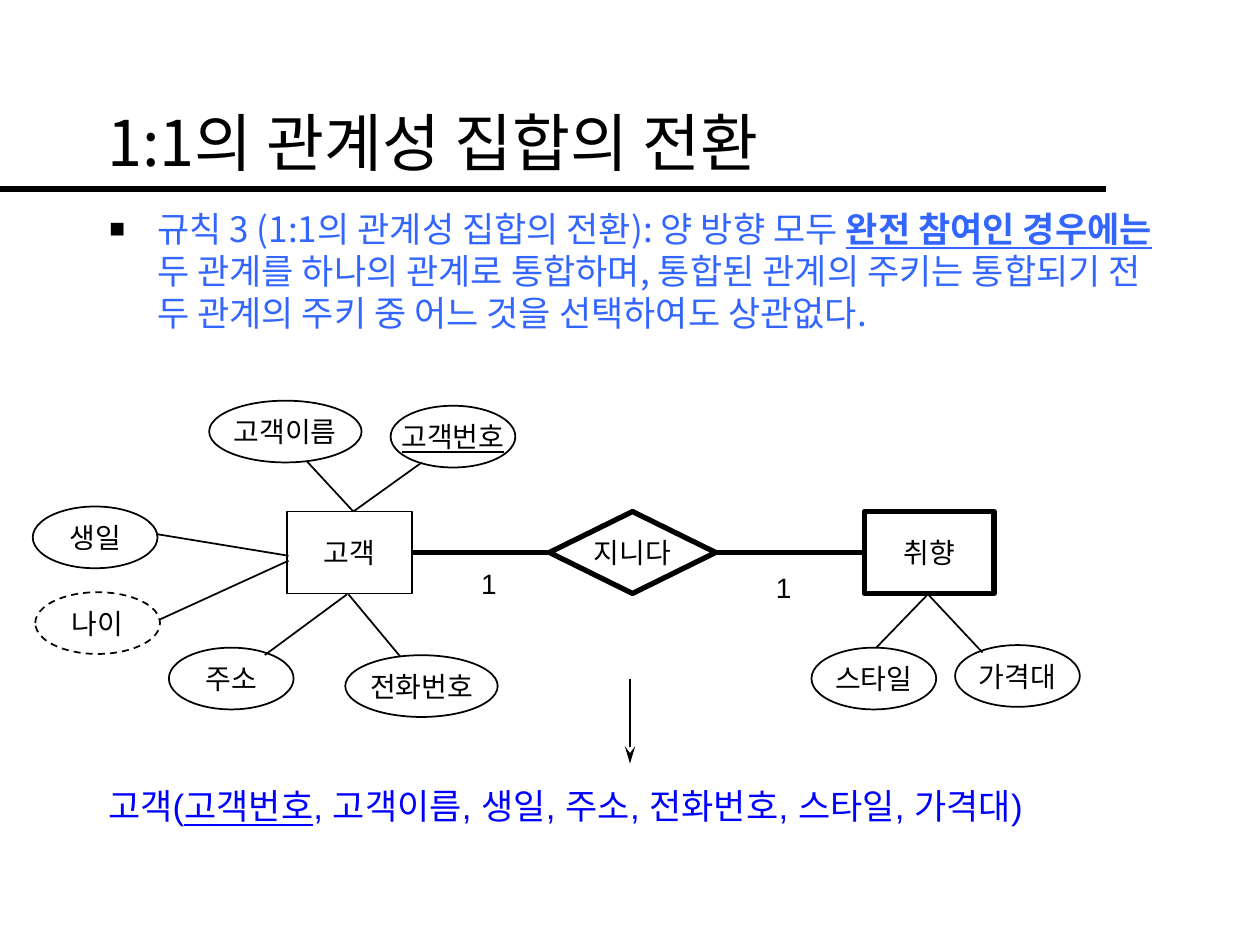
from dataclasses import dataclass

from lxml import etree
from pptx import Presentation
from pptx import util as u
from pptx.dml.color import RGBColor
from pptx.enum import dml, shapes, text
from pptx.oxml.ns import qn

COLUMNS, ROWS = 10, 7.5
COLUMN, ROW = u.Inches(10) / COLUMNS, u.Inches(7.5) / ROWS
KOREAN, LATIN = "Noto Sans CJK KR", "Arial"
BLACK, WHITE, BLUE, SKY = "000000", "FFFFFF", "0000FF", "3366FF"
THIN, THICK = 1, 3
ATTRIBUTE_HEIGHT = 0.49

CUSTOMER_ATTRIBUTES = [
    ("고객이름", (-0.62, -0.88), 1.21, (0.64, 0.98), (0.53, 0), {}),
    ("고객번호", (0.82, -0.84), 0.99, (0.25, 0.92), (0.53, 0), {"key": True}),
    ("생일", (-2.02, -0.04), 0.99, (1, 0.45), (0.01, 0.54), {}),
    ("나이", (-2, 0.64), 0.99, (0.99, 0.45), (0.01, 0.6), {"derived": True}),
    ("주소", (-0.94, 1.08), 0.99, (0.77, 0.12), (0.48, 1.01), {}),
    ("전화번호", (0.46, 1.14), 1.21, (0.36, 0.02), (0.49, 1.01), {}),
]
TASTE_ATTRIBUTES = [
    ("스타일", (-0.42, 1.08), 0.99, (0.52, 0), (0.49, 1.01), {}),
    ("가격대", (0.72, 1.06), 0.99, (0.22, 0.12), (0.49, 1.01), {}),
]


@dataclass
class Box:
    left: float
    top: float
    width: float
    height: float

    def point(self, across, down):
        return self.left + self.width * across, self.top + self.height * down

    def emu(self):
        return (u.Emu(round(self.left * COLUMN)), u.Emu(round(self.top * ROW)),
                u.Emu(round(self.width * COLUMN)), u.Emu(round(self.height * ROW)))


def color(value):
    return RGBColor.from_string(value)


def add_run(paragraph, wording, size, tint=BLACK, face=LATIN, bold=False, underline=False):
    run = paragraph.add_run()
    run.text = wording
    font = run.font
    font.size, font.bold, font.underline = u.Pt(size), bold, underline
    font.color.rgb = color(tint)
    font.name = face
    etree.SubElement(font._element, qn("a:ea"), typeface=KOREAN)


def add_line(slide, start, end, weight=THIN, arrow=False):
    (x1, y1), (x2, y2) = start, end
    line = slide.shapes.add_connector(
        shapes.MSO_CONNECTOR.STRAIGHT, round(x1 * COLUMN), round(y1 * ROW),
        round(x2 * COLUMN), round(y2 * ROW))
    line.line.color.rgb = color(BLACK)
    line.line.width = u.Pt(weight)
    if arrow:
        etree.SubElement(line.line._get_or_add_ln(), qn("a:tailEnd"), type="stealth", len="lg")
    etree.SubElement(line._element.spPr, qn("a:effectLst"))


def add_node(slide, box, kind, name, weight=THIN, key=False, derived=False):
    node = slide.shapes.add_shape(kind, *box.emu())
    node.shadow.inherit = False
    node.fill.solid()
    node.fill.fore_color.rgb = color(WHITE)
    node.line.color.rgb = color(BLACK)
    node.line.width = u.Pt(weight)
    if derived:
        node.line.dash_style = dml.MSO_LINE.DASH
    frame = node.text_frame
    frame.margin_left = frame.margin_right = frame.margin_top = frame.margin_bottom = 0
    frame.word_wrap = False
    frame.vertical_anchor = text.MSO_ANCHOR.MIDDLE
    paragraph = frame.paragraphs[0]
    paragraph.alignment = text.PP_ALIGN.CENTER
    add_run(paragraph, name, 16, underline=key)


def add_label(slide, box, wrap=False):
    frame = slide.shapes.add_textbox(*box.emu()).text_frame
    frame.word_wrap = wrap
    return frame.paragraphs[0]


def heading(slide, box):
    title = slide.shapes.title
    title.left, title.top, title.width, title.height = box.emu()
    frame = title.text_frame
    frame.auto_size = text.MSO_AUTO_SIZE.NONE
    frame.vertical_anchor = text.MSO_ANCHOR.MIDDLE
    paragraph = frame.paragraphs[0]
    paragraph.alignment = text.PP_ALIGN.LEFT
    add_run(paragraph, "1:1의 관계성 집합의 전환", 36, face=KOREAN)
    add_line(slide, (0, 1.5), (8.78, 1.5), 4)


def rule(slide, box):
    paragraph = add_label(slide, box, wrap=True)
    paragraph.line_spacing = 1.0
    layout = paragraph._p.get_or_add_pPr()
    layout.set("marL", str(u.Inches(0.38)))
    layout.set("indent", str(-u.Inches(0.38)))
    tint = etree.SubElement(layout, qn("a:buClr"))
    etree.SubElement(tint, qn("a:srgbClr"), val=BLACK)
    etree.SubElement(layout, qn("a:buSzPct"), val="75000")
    etree.SubElement(layout, qn("a:buFont"), typeface=LATIN)
    etree.SubElement(layout, qn("a:buChar"), char="■")
    for wording, strong in [
        ("규칙 3 (1:1의 관계성 집합의 전환): 양 방향 모두 ", False),
        ("완전 참여인 경우에는 ", True),
        ("두 관계를 하나의 관계로 통합하며, 통합된 관계의 주키는 통합되기 전 "
         "두 관계의 주키 중 어느 것을 선택하여도 상관없다.", False),
    ]:
        add_run(paragraph, wording, 20, SKY, KOREAN, bold=strong, underline=strong)


def entity(slide, box, name, attributes, weight=THIN):
    add_node(slide, box, shapes.MSO_SHAPE.RECTANGLE, name, weight)
    for label, (right, down), width, tip, root, style in attributes:
        oval = Box(box.left + right, box.top + down, width, ATTRIBUTE_HEIGHT)
        add_node(slide, oval, shapes.MSO_SHAPE.OVAL, label, **style)
        add_line(slide, oval.point(*tip), box.point(*root))


def relationship(slide, box, name, left_end, right_end):
    add_node(slide, box, shapes.MSO_SHAPE.DIAMOND, name, THICK)
    middle = box.point(0, 0.5)[1]
    add_line(slide, (left_end, middle), box.point(0, 0.5), THICK)
    add_line(slide, box.point(1, 0.5), (right_end, middle), THICK)
    for right, down in [(-0.64, 0.39), (1.7, 0.42)]:
        cardinality = Box(box.left + right, box.top + down, 0.33, 0.37)
        add_run(add_label(slide, cardinality), "1", 16)


def diagram(slide, box):
    customer = Box(box.left + 2.02, box.top, 0.99, box.height)
    verb = Box(box.left + 4.1, box.top, 1.32, box.height)
    taste = Box(box.left + 6.6, box.top, 1.03, box.height)
    entity(slide, customer, "고객", CUSTOMER_ATTRIBUTES)
    entity(slide, taste, "취향", TASTE_ATTRIBUTES, THICK)
    relationship(slide, verb, "지니다", customer.point(1, 0)[0], taste.left)


def merged_schema(slide, box):
    add_line(slide, (box.left + 4.24, box.top - 0.79),
             (box.left + 4.24, box.top - 0.12), arrow=True)
    paragraph = add_label(slide, box)
    add_run(paragraph, "고객(", 20, BLUE)
    add_run(paragraph, "고객번호", 20, BLUE, underline=True)
    add_run(paragraph, ", 고객이름, 생일, 주소, 전화번호, 스타일, 가격대)", 20, BLUE)


def main():
    deck = Presentation()
    deck.slide_width, deck.slide_height = round(COLUMNS * COLUMN), round(ROWS * ROW)
    slide = deck.slides.add_slide(deck.slide_layouts[5])
    heading(slide, Box(0.75, 0.5, 8.5, 1.25))
    rule(slide, Box(0.77, 1.6, 8.5, 1.15))
    diagram(slide, Box(0.26, 4.06, 7.63, 0.65))
    merged_schema(slide, Box(0.76, 6.18, 8.46, 0.57))
    deck.save("out.pptx")


if __name__ == "__main__":
    main()
